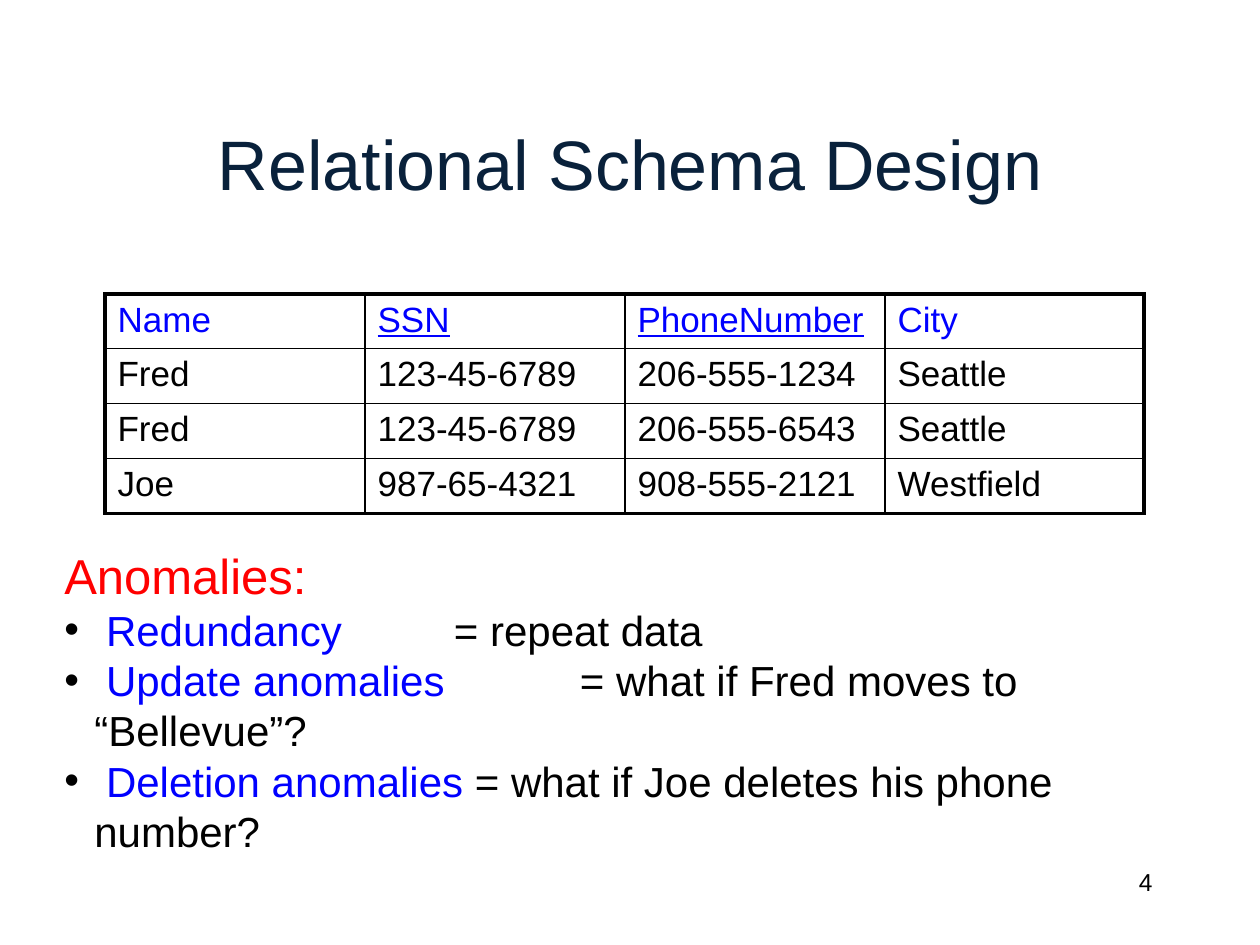
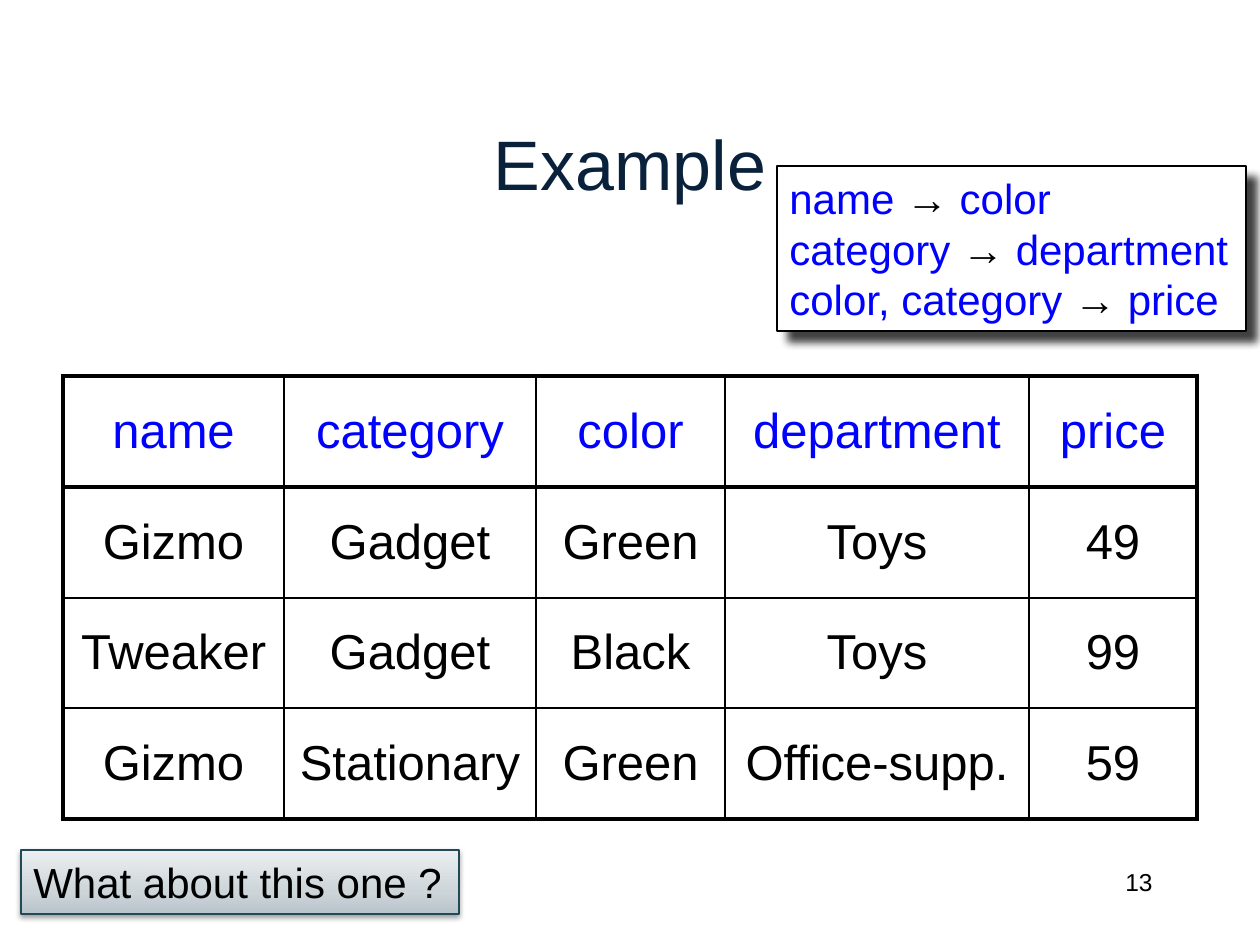
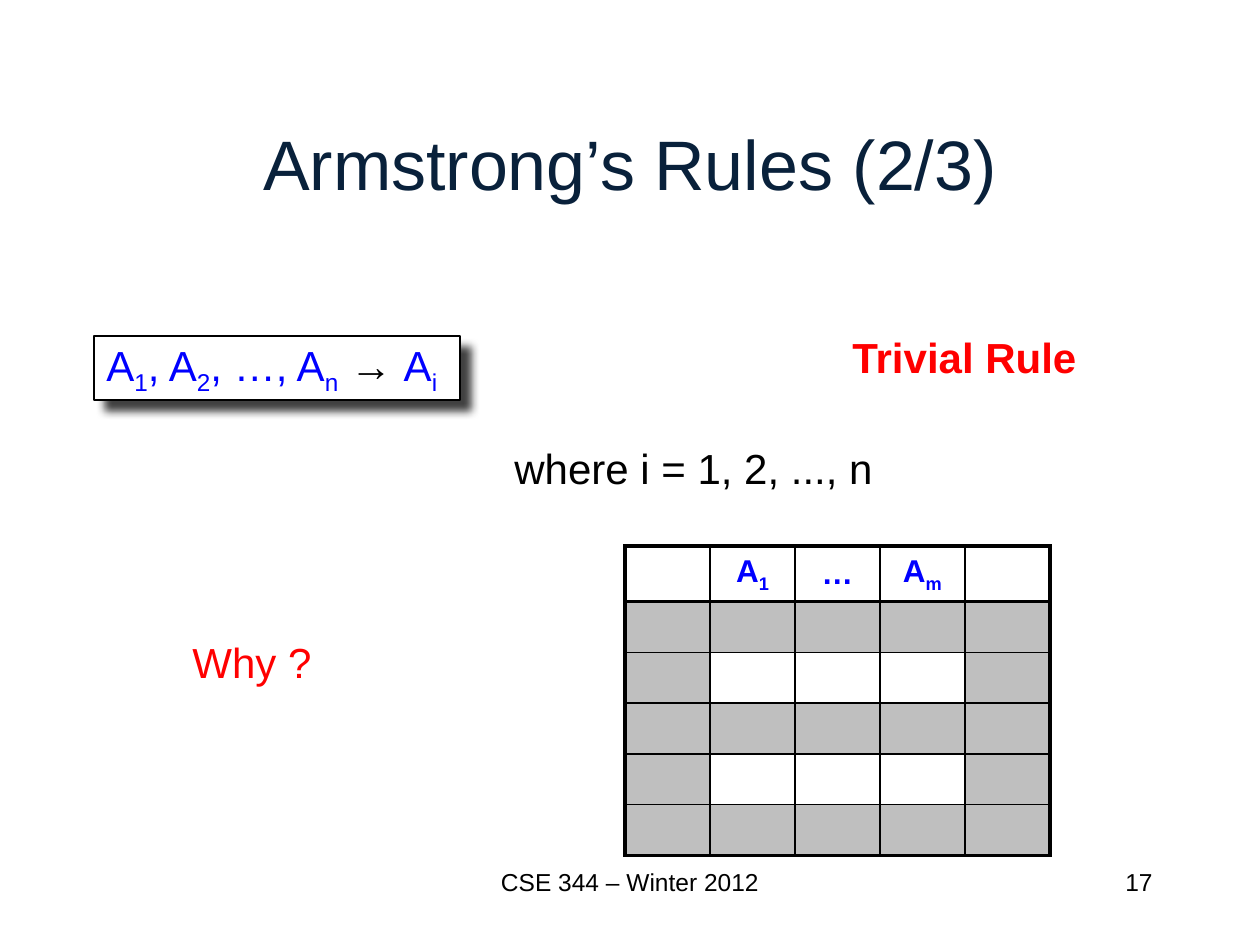
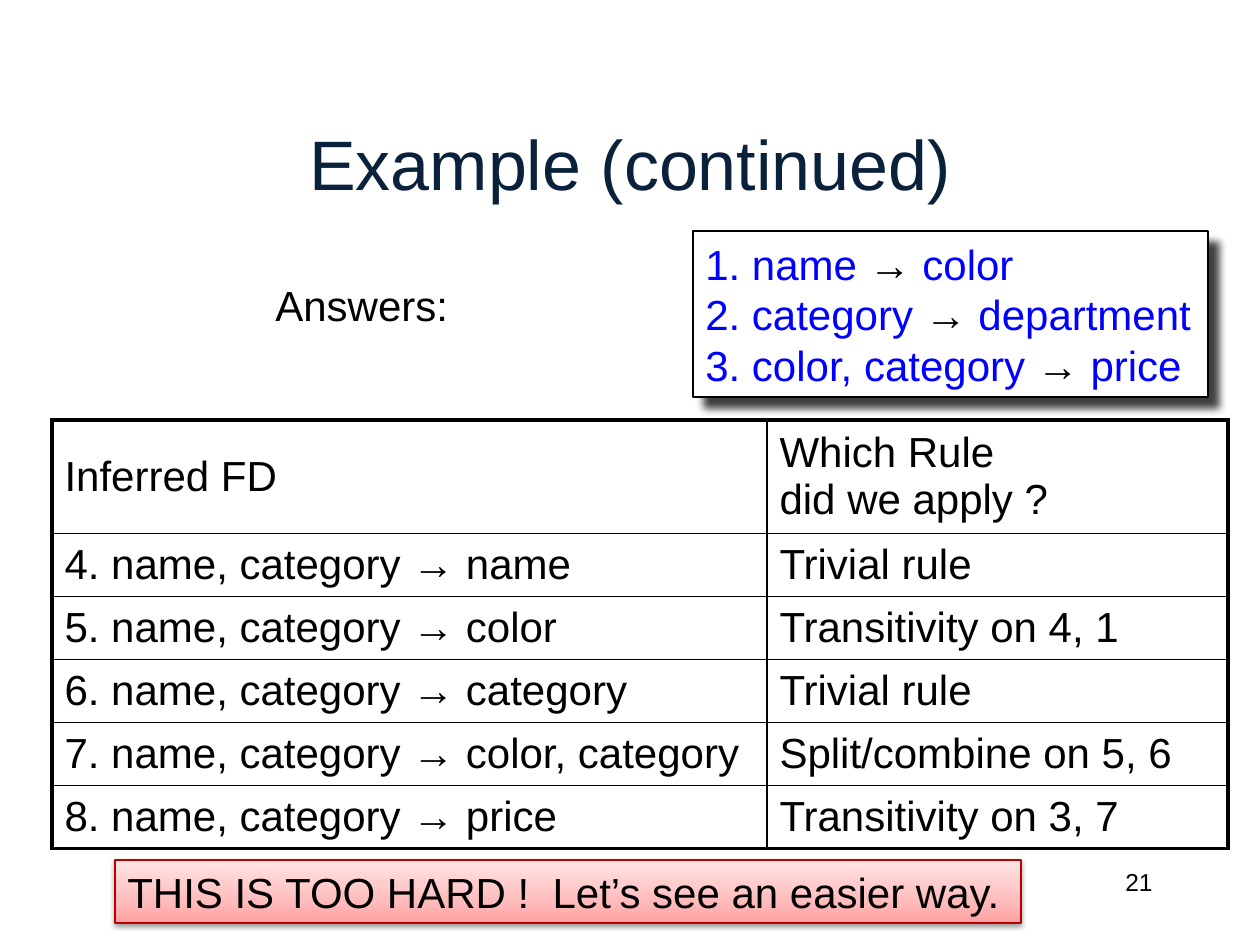
from lxml import etree
from pptx import Presentation
from pptx.dml.color import RGBColor
from pptx.enum.shapes import MSO_SHAPE
from pptx.enum.text import MSO_ANCHOR, MSO_AUTO_SIZE, PP_ALIGN
from pptx.oxml.ns import qn
from pptx.util import Emu, Pt

LEFT, CENTER, RIGHT = PP_ALIGN.LEFT, PP_ALIGN.CENTER, PP_ALIGN.RIGHT
TOP, MIDDLE = MSO_ANCHOR.TOP, MSO_ANCHOR.MIDDLE
NO_AUTOFIT = MSO_AUTO_SIZE.NONE
RECT = MSO_SHAPE.RECTANGLE

# Shared style
FONT = "Arial"
BLACK, WHITE, NAVY = "000000", "FFFFFF", "09213B"
BLUE, RED, GREY = "0000FF", "FF0000", "BFBFBF"
STEEL = (("B8C3CA", 0), ("CDD5D9", 35), ("ECEFF1", 100))
PINK = (("FFA0A0", 0), ("FFBCBC", 35), ("FFE5E5", 100))
DEEP_SHADOW = (75, 5, 8.5, 45)      # opacity %, blur pt, distance pt, angle
SOFT_SHADOW = (38, 3.1, 1.6, 90)
PX = 914400 / 126


def px(n):
    return Emu(round(n * PX))


def rgb(color):
    return RGBColor.from_string(color)


def add_xml(parent, tag, **attrs):
    return etree.SubElement(parent, qn(tag), {k: str(v) for k, v in attrs.items()})


def add_run(p, text, size=24, color=BLACK, bold=False, underline=False, sub=False):
    for i, line in enumerate(text.split("\n")):
        if i:
            p.add_line_break()
        r = p.add_run()
        r.text = line
        f = r.font
        f.name, f.size, f.bold, f.underline = FONT, Pt(size), bold, underline
        f.color.rgb = rgb(color)
        if sub:
            r._r.get_or_add_rPr().set("baseline", "-25000")


def write(tf, paragraphs, align=LEFT, anchor=TOP, wrap=False, **style):
    """A paragraph is a string or a list of (text, format) runs."""
    tf.word_wrap = wrap
    tf.vertical_anchor = anchor
    for i, runs in enumerate(paragraphs):
        p = tf.add_paragraph() if i else tf.paragraphs[0]
        p.alignment = align
        for text, extra in [(runs, {})] if isinstance(runs, str) else runs:
            add_run(p, text, **{**style, **extra})


def dependency(text):
    """Blue attributes around a black arrow."""
    left, right = text.split("→")
    return [(left, {"color": BLUE}), ("→", {}), (right, {"color": BLUE})]


def indexed(*parts):
    """Runs that alternate between base line and subscript."""
    return [(t, {"color": BLUE, "sub": i % 2 == 1}) for i, t in enumerate(parts)]


class Deck:
    def __init__(self):
        self.prs = Presentation()
        self.prs.slide_width, self.prs.slide_height = px(1260), px(945)
        self.s = None

    def slide(self, title, number):
        self.s = self.prs.slides.add_slide(self.prs.slide_layouts[5])
        sp = self.s.shapes.title
        sp.left, sp.top, sp.width, sp.height = map(px, (94, 84, 1072, 158))
        sp.text_frame.auto_size = NO_AUTOFIT
        write(sp.text_frame, [title], CENTER, MIDDLE, True, size=40, color=NAVY)
        self.text((903, 861, 262, 63), [str(number)], align=RIGHT, wrap=True, size=14)

    def text(self, box, paragraphs, **style):
        sp = self.s.shapes.add_textbox(*map(px, box))
        write(sp.text_frame, paragraphs, **style)
        return sp.text_frame

    def bullets(self, tf):
        for p in tf.paragraphs[1:]:
            pPr = p._p.get_or_add_pPr()
            pPr.set("marL", str(px(30)))
            pPr.set("indent", str(px(-30)))
            pPr.set("defTabSz", str(px(126)))
            add_xml(pPr, "a:buFont", typeface=FONT)
            add_xml(pPr, "a:buChar", char="•")

    def panel(self, box, paragraphs, stops=None, line=BLACK, shadow=DEEP_SHADOW,
              anchor=MIDDLE):
        sp = self.s.shapes.add_shape(RECT, *map(px, box))
        sp.line.color.rgb = rgb(line)
        sp.line.width = Pt(0.75)
        if stops:
            self.gradient(sp, stops)
        else:
            sp.fill.solid()
            sp.fill.fore_color.rgb = rgb(WHITE)
        self.shadow(sp, *shadow)
        write(sp.text_frame, paragraphs, anchor=anchor)

    def gradient(self, sp, stops):
        sp.fill.gradient()
        sp.fill.gradient_angle = 90
        gs_list = sp._element.spPr.find(".//" + qn("a:gsLst"))
        for gs in list(gs_list):
            gs_list.remove(gs)
        for color, pos in stops:
            gs = add_xml(gs_list, "a:gs", pos=pos * 1000)
            add_xml(gs, "a:srgbClr", val=color)

    def shadow(self, sp, opacity, blur, dist, angle):
        sp.shadow.inherit = False
        effects = sp._element.spPr.find(qn("a:effectLst"))
        outer = add_xml(effects, "a:outerShdw", blurRad=Pt(blur), dist=Pt(dist),
                        dir=angle * 60000, algn="tl", rotWithShape=0)
        color = add_xml(outer, "a:srgbClr", val=BLACK)
        add_xml(color, "a:alpha", val=opacity * 1000)

    def table(self, at, cols, rows, cells, outer=2.25, under_header=1,
              header_color=BLUE, is_grey=lambda r, c: False, anchor=TOP, **style):
        box = (*at, sum(cols), sum(rows))
        table = self.s.shapes.add_table(len(rows), len(cols), *map(px, box)).table
        table.first_row = table.horz_banding = False
        for col, w in zip(table.columns, cols):
            col.width = px(w)
        for row, h in zip(table.rows, rows):
            row.height = px(h)
        row_lines = [outer, under_header] + [1] * (len(rows) - 2) + [outer]
        col_lines = [outer] + [1] * (len(cols) - 1) + [outer]
        for r in range(len(rows)):
            for c in range(len(cols)):
                cell = table.cell(r, c)
                self.borders(cell, col_lines[c], col_lines[c + 1],
                             row_lines[r], row_lines[r + 1])
                if is_grey(r, c):
                    cell.fill.solid()
                    cell.fill.fore_color.rgb = rgb(GREY)
                else:
                    cell.fill.background()
                if r < len(cells) and cells[r][c]:
                    color = BLACK if r else header_color
                    write(cell.text_frame, [cells[r][c]], wrap=True, color=color,
                          **style)
                    cell.vertical_anchor = anchor

    def borders(self, cell, *widths):
        tcPr = cell._tc.get_or_add_tcPr()
        for side, width in zip("LRTB", widths):
            ln = add_xml(tcPr, "a:ln" + side, w=Pt(width))
            add_xml(add_xml(ln, "a:solidFill"), "a:srgbClr", val=BLACK)


def schema_design(d):
    d.slide("Relational Schema Design", 4)
    key = {"underline": True}
    d.table((105, 294), [260, 260, 260, 259], [54, 55, 54, 55], [
        ["Name", [("SSN", key)], [("PhoneNumber", key)], "City"],
        ["Fred", "123-45-6789", "206-555-1234", "Seattle"],
        ["Fred", "123-45-6789", "206-555-6543", "Seattle"],
        ["Joe", "987-65-4321", "908-555-2121", "Westfield"],
    ], size=20)
    anomalies = [
        ("Redundancy", "\t = repeat data"),
        ("Update anomalies", "\t = what if Fred moves to “Bellevue”?"),
        ("Deletion anomalies ", "= what if Joe deletes his phone number?"),
    ]
    tf = d.text((52, 539, 1184, 320),
                [[("Anomalies:", {"size": 28, "color": RED})]]
                + [[(" ", {}), (name, {"color": BLUE}), (meaning, {})]
                   for name, meaning in anomalies], wrap=True)
    d.bullets(tf)


def example(d, rules):
    d.slide("Example", 13)
    d.table((63, 376), [221, 252, 189, 304, 168], [111, 111, 110, 111], [
        ["name", "category", "color", "department", "price"],
        ["Gizmo", "Gadget", "Green", "Toys", "49"],
        ["Tweaker", "Gadget", "Black", "Toys", "99"],
        ["Gizmo", "Stationary", "Green", "Office-supp.", "59"],
    ], outer=3, under_header=3, size=28, align=CENTER, anchor=MIDDLE)
    d.panel((21, 850, 438, 64), ["What about this one ?"], STEEL, "224957",
            SOFT_SHADOW, TOP)
    d.panel((777, 166, 469, 165), [dependency(rule) for rule in rules])


def trivial_rule(d):
    d.slide("Armstrong’s Rules (2/3)", 17)
    d.text((840, 325, 252, 63), ["Trivial Rule"], color=RED, bold=True)
    d.text((180, 630, 146, 63), ["Why ?"], color=RED)
    d.table((625, 546), [85] * 5, [55, 51, 50, 51, 50, 51],
            [["", indexed("A", "1"), "…", indexed("A", "m"), ""]],
            under_header=2.25, size=18, bold=True, align=CENTER, anchor=MIDDLE,
            is_grey=lambda r, c: r % 2 == 1 or (r > 0 and c in (0, 4)))
    d.text((502, 436, 389, 63), ["where i = 1, 2, ..., n"])
    d.panel((94, 336, 366, 64), [indexed("A", "1", ", A", "2", ", …, A", "n")
                                 + [(" → ", {})] + indexed("A", "i")])
    d.text((399, 861, 462, 63), ["CSE 344 – Winter 2012"], align=CENTER, wrap=True,
           size=14)


def example_continued(d, rules):
    d.slide("Example (continued)", 21)
    d.text((263, 273, 202, 63), ["Answers:"])
    inferred = [("name", "Trivial rule"), ("color", "Transitivity on 4, 1"),
                ("category", "Trivial rule"),
                ("color, category", "Split/combine on 5, 6"),
                ("price", "Transitivity on 3, 7")]
    d.table((52, 420), [715, 461], [113] + [63] * 5,
            [["Inferred FD", "Which Rule\ndid we apply ?"]]
            + [[f"{i}. name, category → {target}", rule]
               for i, (target, rule) in enumerate(inferred, 4)],
            header_color=BLACK, anchor=MIDDLE)
    d.panel((115, 860, 906, 63), ["THIS IS TOO HARD !  Let’s see an easier way."],
            PINK, "BC0000", SOFT_SHADOW, TOP)
    d.panel((693, 231, 515, 166),
            [dependency(f"{i}. {rule}") for i, rule in enumerate(rules, 1)])


def main():
    d = Deck()
    rules = ["name → color", "category → department", "color, category → price"]
    schema_design(d)
    example(d, rules)
    trivial_rule(d)
    example_continued(d, rules)
    d.prs.save("out.pptx")


if __name__ == "__main__":
    main()
